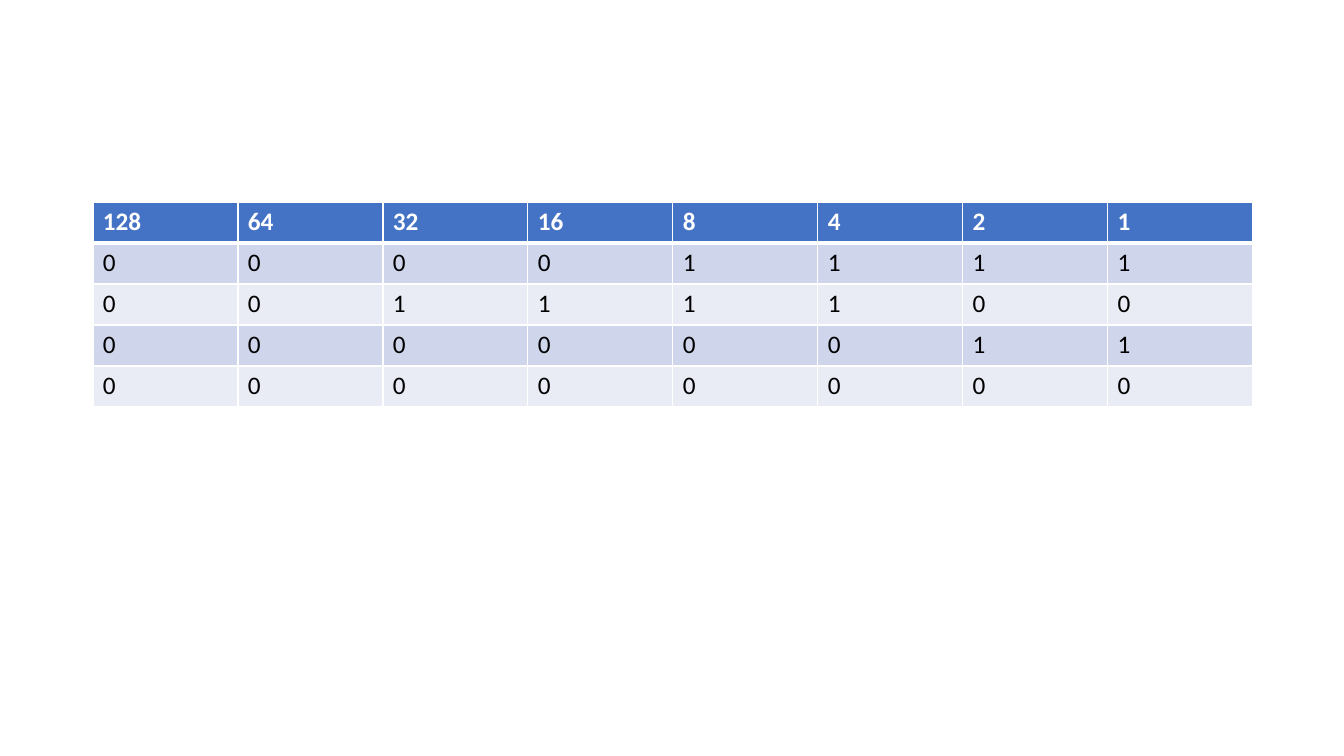
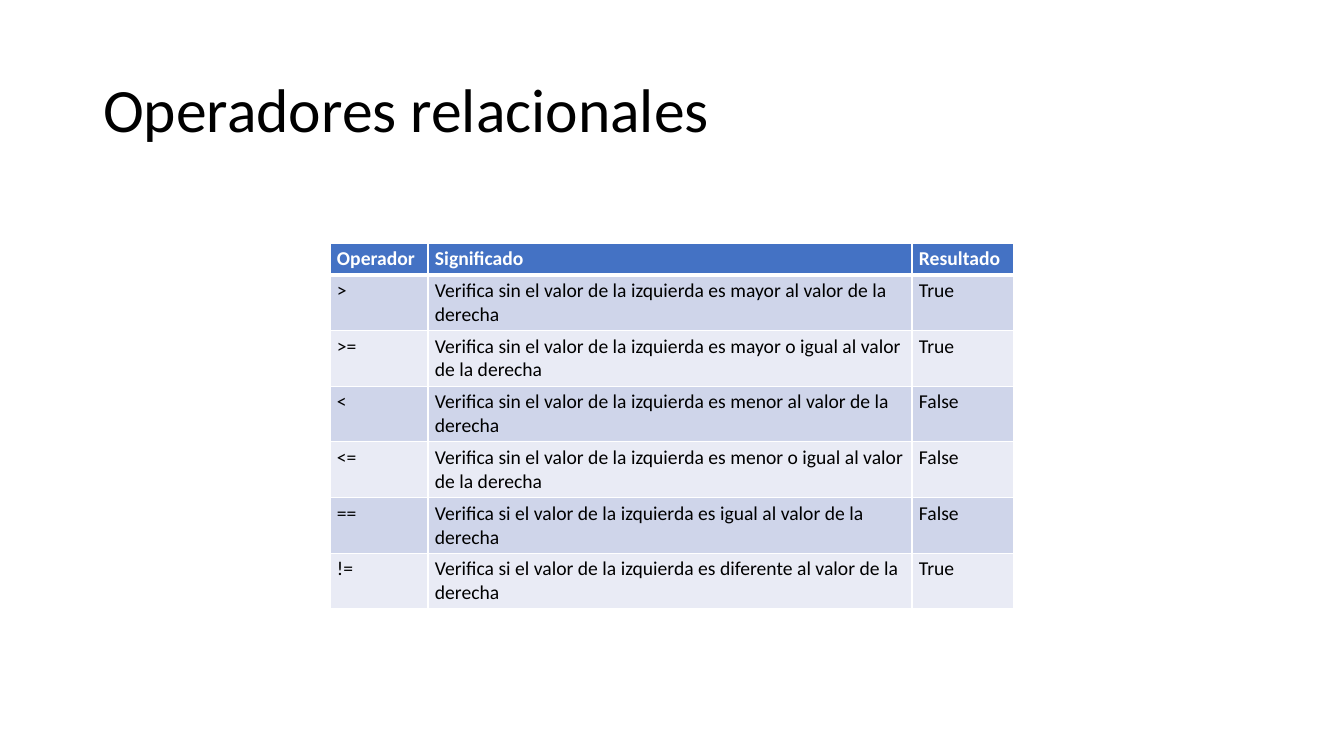
"""Builds two slides: a table of binary place values and one of relational operators."""
from dataclasses import dataclass

from lxml import etree
from pptx import Presentation
from pptx.dml.color import RGBColor
from pptx.enum import text
from pptx.oxml import ns
from pptx.util import Emu, Pt

EMU_PER_PIXEL = 914400 / 100.8
FONT = "Calibri"
WHITE, BLACK = "FFFFFF", "000000"
HEADER_FILL = "4472C4"
BAND_FILLS = ("CFD5EA", "E9EBF5")
THIN, THICK = 1, 3


@dataclass(frozen=True)
class TableSpec:
    left: int
    top: int
    columns: tuple[int, ...]
    header_height: int
    row_height: int
    size: int
    inset_x: int
    inset_y: int
    rows: tuple[tuple[str, ...], ...]


def px(pixels: int) -> Emu:
    return Emu(round(pixels * EMU_PER_PIXEL))


def rgb(value: str) -> RGBColor:
    return RGBColor.from_string(value)


def set_font(paragraph, size: int, color: str, bold: bool) -> None:
    for name, value in {"name": FONT, "size": Pt(size), "bold": bold}.items():
        setattr(paragraph.font, name, value)
    paragraph.font.color.rgb = rgb(color)


def set_borders(cell, widths: dict[str, int]) -> None:
    properties = cell._tc.get_or_add_tcPr()
    for side, width in widths.items():
        line = etree.SubElement(properties, ns.qn(f"a:ln{side}"), w=str(Pt(width)))
        fill = etree.SubElement(line, ns.qn("a:solidFill"))
        etree.SubElement(fill, ns.qn("a:srgbClr"), val=WHITE)


def format_cell(cell, content: str, row: int, spec: TableSpec) -> None:
    is_header = row == 0
    cell.text = content
    margins = {
        "margin_left": px(spec.inset_x),
        "margin_right": px(spec.inset_x),
        "margin_top": px(spec.inset_y),
        "margin_bottom": px(spec.inset_y),
    }
    for name, value in margins.items():
        setattr(cell, name, value)
    set_font(cell.text_frame.paragraphs[0], spec.size, WHITE if is_header else BLACK, is_header)
    set_borders(cell, {
        "L": THIN,
        "R": THIN,
        "T": THICK if row == 1 else THIN,
        "B": THICK if is_header else THIN,
    })
    cell.fill.solid()
    cell.fill.fore_color.rgb = rgb(HEADER_FILL if is_header else BAND_FILLS[(row - 1) % 2])


def draw_table(slide, spec: TableSpec) -> None:
    heights = [spec.header_height] + [spec.row_height] * (len(spec.rows) - 1)
    table = slide.shapes.add_table(
        len(spec.rows), len(spec.columns), px(spec.left), px(spec.top),
        px(sum(spec.columns)), px(sum(heights)),
    ).table
    for column, width in zip(table.columns, spec.columns):
        column.width = px(width)
    for index, (row, height) in enumerate(zip(table.rows, heights)):
        row.height = px(height)
        for cell, content in zip(row.cells, spec.rows[index]):
            format_cell(cell, content, index, spec)


def draw_title(slide, content: str) -> None:
    title = slide.shapes.title
    place = {"left": px(93), "top": px(40), "width": px(1159), "height": px(146)}
    for name, value in place.items():
        setattr(title, name, value)
    title.text_frame.text = content
    title.text_frame.vertical_anchor = text.MSO_ANCHOR.MIDDLE
    heading = title.text_frame.paragraphs[0]
    heading.alignment = text.PP_ALIGN.LEFT
    heading.line_spacing = 0.9
    set_font(heading, 44, BLACK, False)


PLACE_VALUES = tuple(str(2 ** power) for power in reversed(range(8)))
BYTES = (15, 60, 3, 0)
BINARY = TableSpec(
    left=93, top=202, columns=(145,) * 8, header_height=41, row_height=41,
    size=18, inset_x=10, inset_y=5,
    rows=(PLACE_VALUES, *(tuple(f"{number:08b}") for number in BYTES)),
)

COMPARISONS = (
    (">", "sin", "mayor al", "True"),
    (">=", "sin", "mayor o igual al", "True"),
    ("<", "sin", "menor al", "False"),
    ("<=", "sin", "menor o igual al", "False"),
    ("==", "si", "igual al", "False"),
    ("!=", "si", "diferente al", "True"),
)
OPERATORS = TableSpec(
    left=330, top=243, columns=(98, 484, 102), header_height=30, row_height=53,
    size=14, inset_x=7, inset_y=4,
    rows=(
        ("Operador", "Significado", "Resultado"),
        *(
            (sign, f"Verifica {link} el valor de la izquierda es {relation} valor de la derecha", result)
            for sign, link, relation, result in COMPARISONS
        ),
    ),
)


def main() -> None:
    deck = Presentation()
    deck.slide_width, deck.slide_height = px(1344), px(756)
    title_only, blank = deck.slide_layouts[5], deck.slide_layouts[6]

    draw_table(deck.slides.add_slide(blank), BINARY)

    relational = deck.slides.add_slide(title_only)
    draw_title(relational, "Operadores relacionales")
    draw_table(relational, OPERATORS)

    deck.save("out.pptx")


main()
